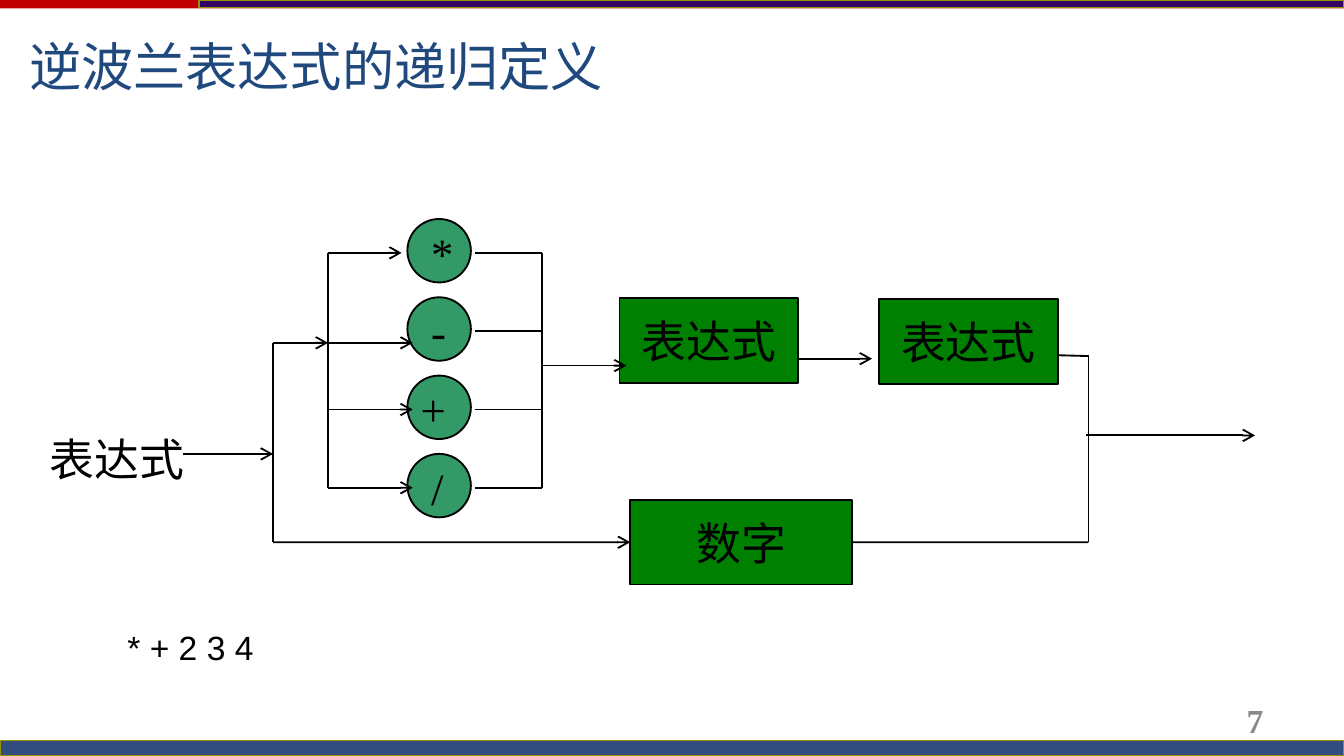
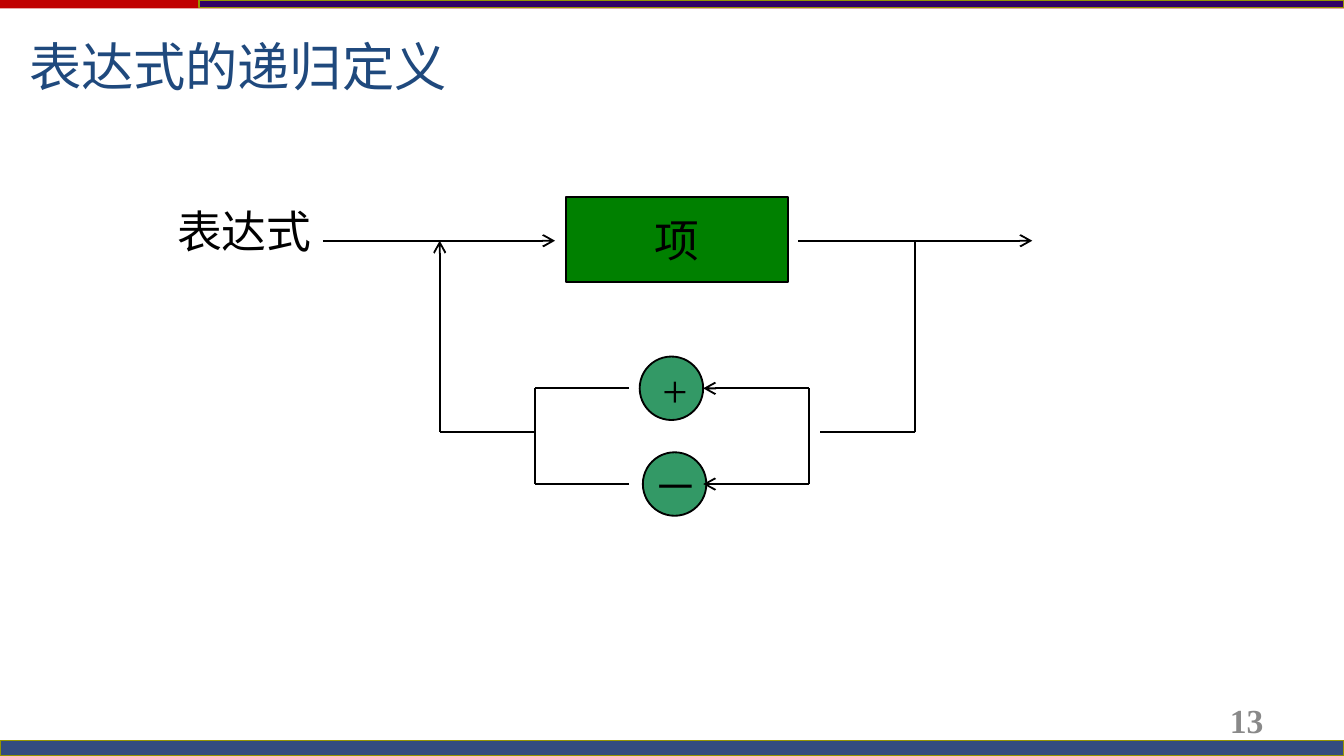
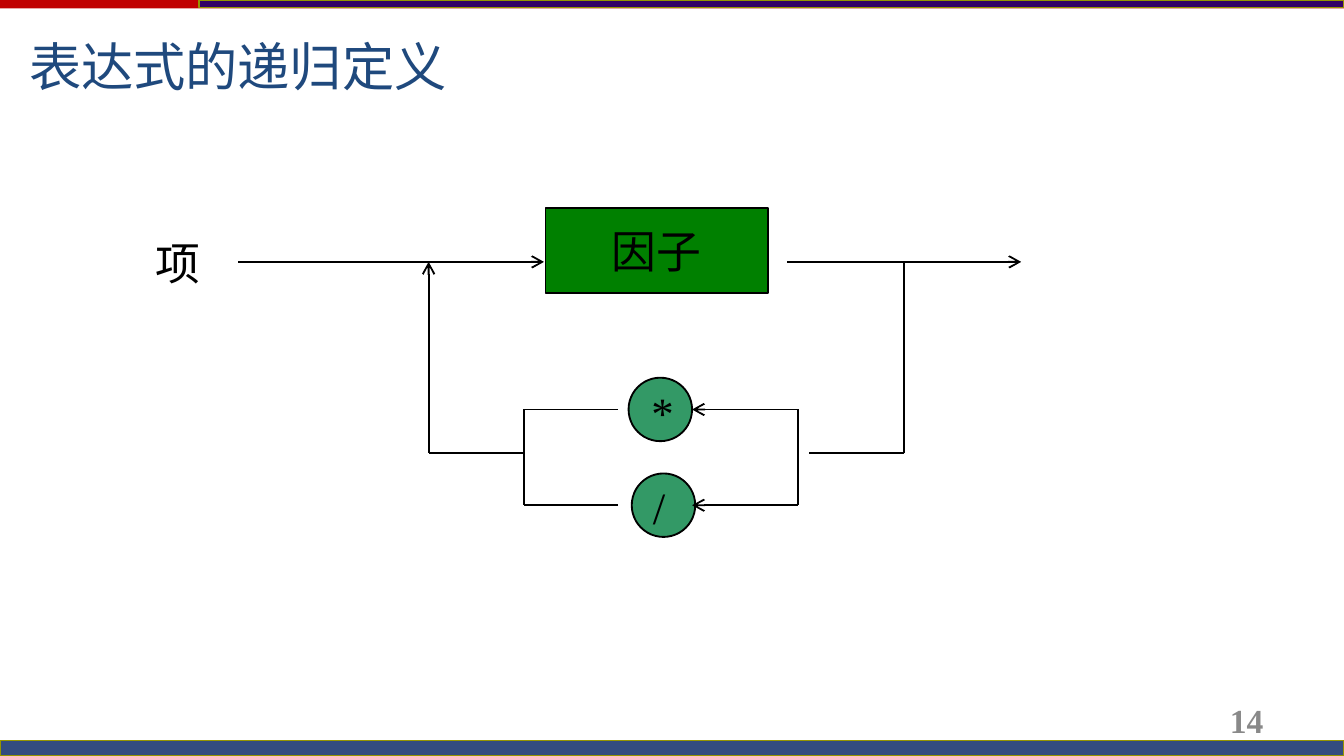
"""Build three syntax-diagram slides for recursive expression definitions."""
from dataclasses import dataclass
from typing import Any, Optional

from lxml import etree
from pptx import Presentation
from pptx.dml.color import RGBColor
from pptx.enum import shapes, text
from pptx.oxml import ns
from pptx.util import Cm, Pt

BLACK, GREY, NAVY = "000000", "898989", "1F497D"
GREEN, TEAL = "008000", "339966"
RED, PURPLE, BLUE, OLIVE = "C00000", "330066", "002060", "959500"
SLIDE_W, SLIDE_H = 25.4, 14.29
DISC, BOX_H, LABEL_H = 1.2, 1.6, 1.27
RECT, OVAL = shapes.MSO_SHAPE.RECTANGLE, shapes.MSO_SHAPE.OVAL
TOP, MIDDLE, BOTTOM = text.MSO_ANCHOR.TOP, text.MSO_ANCHOR.MIDDLE, text.MSO_ANCHOR.BOTTOM
GROW = text.MSO_AUTO_SIZE.SHAPE_TO_FIT_TEXT
LEFT, CENTER, RIGHT = text.PP_ALIGN.LEFT, text.PP_ALIGN.CENTER, text.PP_ALIGN.RIGHT
BODY = {"name": "Times New Roman", "size": Pt(24), "bold": False}
TITLE = {"name": "Arial", "size": Pt(28), "bold": False}
FORMULA = {"name": "Arial", "size": Pt(18), "bold": False}
NUMBER = {"name": "Times New Roman", "size": Pt(18), "bold": True}


@dataclass(frozen=True)
class Block:
    x: float
    y: float
    w: float
    h: float
    fill: str
    kind: Any = RECT
    line: Optional[str] = BLACK
    line_pt: float = 1
    alpha: int = 100
    word: str = ""


@dataclass(frozen=True)
class Label:
    x: float
    y: float
    w: float
    h: float
    word: str
    font: dict
    color: str = BLACK
    align: Any = LEFT
    anchor: Any = TOP
    size: Any = GROW
    wrap: bool = True


@dataclass(frozen=True)
class Wire:
    x1: float
    y1: float
    x2: float
    y2: float
    arrow: bool = False


@dataclass(frozen=True)
class Operator:
    sign: str
    x: float
    y: float
    shift: float = 0.2


@dataclass(frozen=True)
class Loop:
    number: str
    name: Label
    box: Block
    x: float
    y: float
    start: float
    signs: tuple[tuple[str, float], ...]


BANDS = (
    Block(0, 0, SLIDE_W, 0.16, RED, line=None),
    Block(3.76, 0, 21.64, 0.14, PURPLE, line=OLIVE, line_pt=0),
    Block(0, 14, SLIDE_W, 0.29, BLUE, line=OLIVE, line_pt=0, alpha=80),
)


def rgb(color: str) -> RGBColor:
    """Turn a hex string into a colour."""
    return RGBColor.from_string(color)


def apply(obj: Any, values: dict) -> None:
    """Set every attribute named in values."""
    for key, value in values.items():
        setattr(obj, key, value)


def write(tf: Any, word: str, font: dict, color: str, align: Any, frame: dict) -> None:
    """Put one formatted run into a text frame."""
    apply(tf, frame)
    p = tf.paragraphs[0]
    p.alignment = align
    r = p.add_run()
    r.text = word
    apply(r.font, font)
    r.font.color.rgb = rgb(color)


def add_block(s: Any, b: Block) -> Any:
    """Draw a filled shape with an optional centred word."""
    sp = s.shapes.add_shape(b.kind, Cm(b.x), Cm(b.y), Cm(b.w), Cm(b.h))
    sp.shadow.inherit = False
    sp.fill.solid()
    sp.fill.fore_color.rgb = rgb(b.fill)
    if b.alpha < 100:
        clr = sp.fill._xPr.find(".//" + ns.qn("a:srgbClr"))
        etree.SubElement(clr, ns.qn("a:alpha"), val=str(b.alpha * 1000))
    if b.line:
        sp.line.color.rgb = rgb(b.line)
        sp.line.width = Pt(b.line_pt)
    else:
        sp.line.fill.background()
    if b.word:
        write(sp.text_frame, b.word, BODY, BLACK, CENTER,
              {"word_wrap": False, "vertical_anchor": MIDDLE})
    return sp


def add_label(s: Any, lb: Label) -> None:
    """Draw a text box."""
    sp = s.shapes.add_textbox(Cm(lb.x), Cm(lb.y), Cm(lb.w), Cm(lb.h))
    write(sp.text_frame, lb.word, lb.font, lb.color, lb.align,
          {"word_wrap": lb.wrap, "vertical_anchor": lb.anchor, "auto_size": lb.size})


def add_wire(s: Any, w: Wire) -> Any:
    """Draw a straight line with an optional arrowhead."""
    c = s.shapes.add_connector(shapes.MSO_CONNECTOR.STRAIGHT,
                               Cm(w.x1), Cm(w.y1), Cm(w.x2), Cm(w.y2))
    c.line.color.rgb = rgb(BLACK)
    c.line.width = Pt(1)
    if w.arrow:
        etree.SubElement(c.line._get_or_add_ln(), ns.qn("a:tailEnd"), type="arrow")
    etree.SubElement(c._element.spPr, ns.qn("a:effectLst"))
    return c


def add_operator(s: Any, op: Operator) -> None:
    """Draw a disc with its sign."""
    add_block(s, Block(op.x, op.y, DISC, DISC, TEAL, OVAL))
    add_label(s, Label(op.x + op.shift, op.y, 0.99, LABEL_H, op.sign, BODY))


def add_slide(prs: Any, number: str, title: Label) -> Any:
    """Start a slide with bands, page number and title."""
    s = prs.slides.add_slide(prs.slide_layouts[6])
    for band in BANDS:
        add_block(s, band)
    add_label(s, Label(18.21, 13.23, 5.92, 0.76, number, NUMBER, GREY, RIGHT, MIDDLE, None))
    add_label(s, title)
    return s


def build_polish(prs: Any) -> None:
    """Draw the prefix expression diagram."""
    s = add_slide(prs, "7", Label(0.3, -0.46, 20.96, 2.41, "逆波兰表达式的递归定义",
                                  TITLE, NAVY, anchor=BOTTOM, size=None))
    fork, split, merge, tail = 5.16, 6.2, 10.24, 20.57
    branch, low = 6.48, 10.25
    rows = [4.78 + 1.48 * i for i in range(4)]
    add_label(s, Label(0.69, 8.03, 4.22, LABEL_H, "表达式", BODY))
    add_block(s, Block(11.71, 5.64, 3.38, BOX_H, GREEN, word="表达式"))
    digit = add_block(s, Block(11.91, 9.45, 4.2, BOX_H, GREEN, word="数字"))
    for sign, row, shift in zip("*-+/", rows, (0.2, 0.2, 0, 0.2)):
        add_operator(s, Operator(sign, 7.7, row - 0.64, shift))
        add_wire(s, Wire(merge, row, 8.97, row))
    for y, end in zip((rows[0], branch, rows[2], rows[3]), (7.59, 7.8, 7.8, 7.8)):
        add_wire(s, Wire(split, y, end, y, True))
    for w in (
        Wire(3.45, 8.58, fork, 8.58, True),
        Wire(fork, branch, split, branch, True),
        Wire(fork, branch, fork, low),
        Wire(split, rows[0], split, rows[3]),
        Wire(merge, rows[0], merge, rows[3]),
        Wire(merge, 6.91, 11.84, 6.91, True),
        Wire(15.09, 6.78, 16.48, 6.78, True),
        Wire(tail, 6.73, 18.69, 6.68),
        Wire(tail, 6.71, tail, low),
        Wire(20.52, 8.23, 23.72, 8.23, True),
    ):
        add_wire(s, w)
    add_wire(s, Wire(fork, low, 11.91, low, True)).end_connect(digit, 1)
    add_wire(s, Wire(tail, low, 16.11, low)).end_connect(digit, 3)
    add_block(s, Block(16.61, 5.66, 3.38, BOX_H, GREEN, word="表达式"))
    add_label(s, Label(2.16, 11.73, 2.9, 1.02, "* + 2 3 4", FORMULA, wrap=False))


def build_loop(prs: Any, lp: Loop) -> None:
    """Draw a term that repeats through two operators."""
    s = add_slide(prs, lp.number, Label(0.3, 0.53, 22.1, 1.45, "表达式的递归定义", TITLE, NAVY))
    x, y = lp.x, lp.y
    rows, back = (y + 2.79, y + 4.6), y + 3.61
    left, right, far = x + 1.8, x + 6.98, x + 8.99
    add_label(s, lp.name)
    for (sign, shift), row, dx in zip(lp.signs, rows, (3.78, 3.84)):
        add_operator(s, Operator(sign, x + dx, row - DISC / 2, shift))
        add_wire(s, Wire(right, row, x + 4.98, row, True))
        add_wire(s, Wire(x + 3.58, row, left, row))
    for w in (
        Wire(lp.start, y, x + 2.18, y, True),
        Wire(x + 6.78, y, x + 11.2, y, True),
        Wire(far, y, far, back),
        Wire(far, back, x + 7.19, back),
        Wire(right, rows[0], right, rows[1]),
        Wire(left, rows[0], left, rows[1]),
        Wire(left, back, x, back),
        Wire(x, back, x, y, True),
    ):
        add_wire(s, w)
    add_block(s, lp.box)


LOOPS = (
    Loop("13", Label(3.1, 3.73, 4.39, LABEL_H, "表达式", BODY),
         Block(10.69, 3.73, 4.2, BOX_H, GREEN, word="项"),
         8.31, 4.55, 6.1, (("+", 0.18), ("－", -0.05))),
    Loop("14", Label(2.69, 4.34, 4.39, LABEL_H, "项", BODY),
         Block(10.31, 3.94, 4.2, BOX_H, GREEN, word="因子"),
         8.1, 4.95, 4.5, (("*", 0.18), ("/", 0.15))),
)


def main() -> None:
    """Build and save the presentation."""
    prs = Presentation()
    apply(prs, {"slide_width": Cm(SLIDE_W), "slide_height": Cm(SLIDE_H)})
    build_polish(prs)
    for lp in LOOPS:
        build_loop(prs, lp)
    prs.save("out.pptx")


if __name__ == "__main__":
    main()
